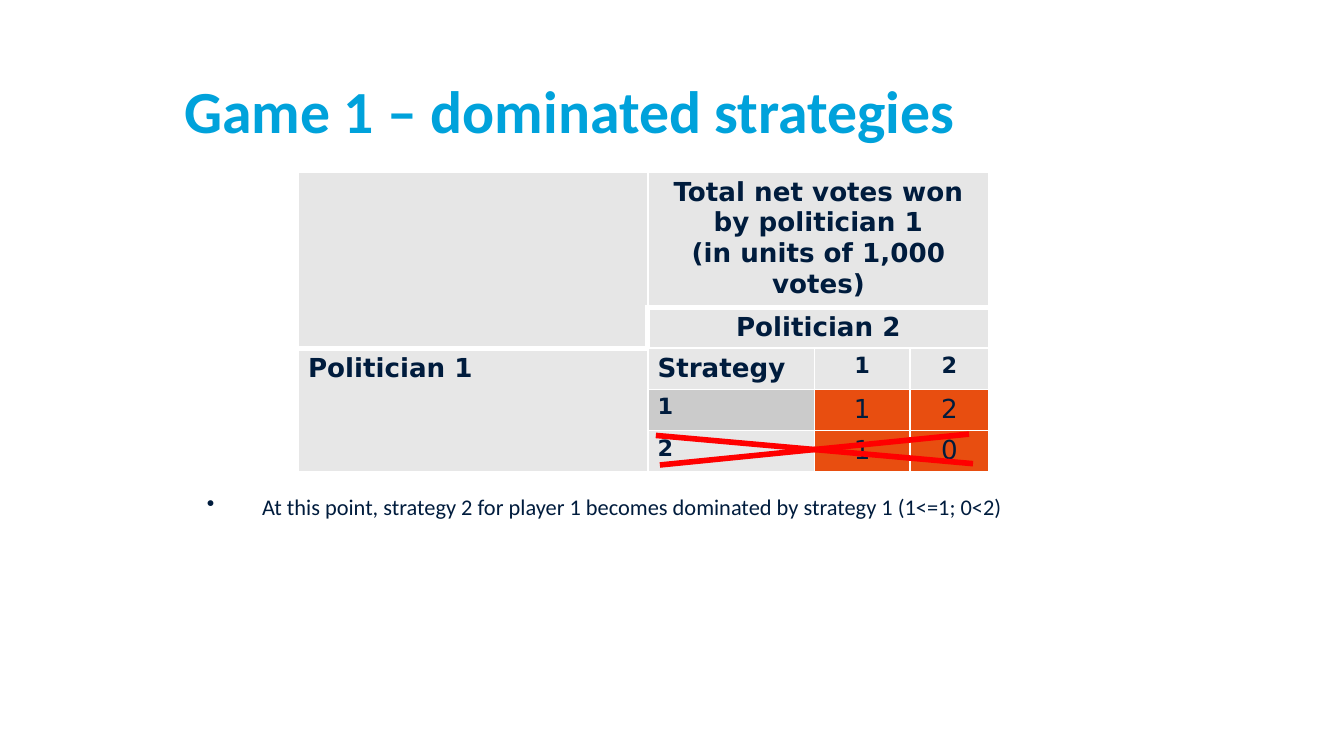
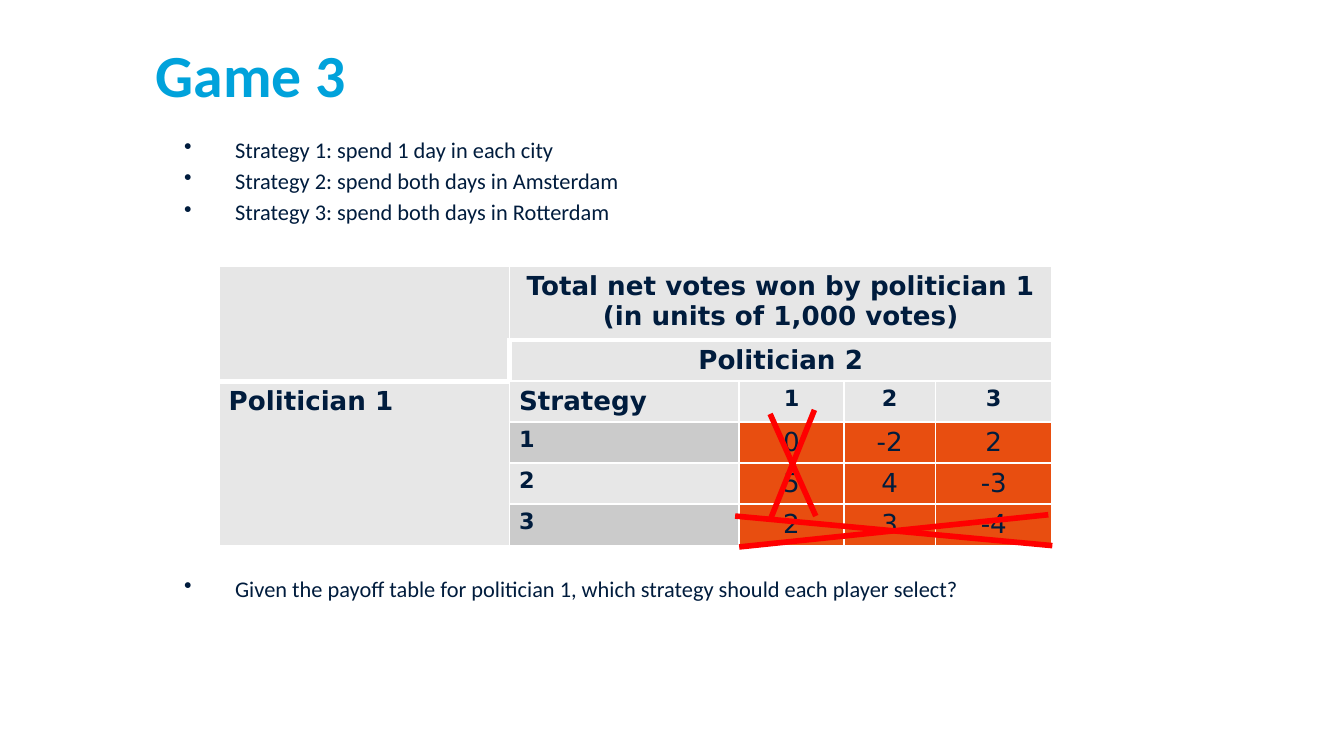
import pptx
import pptx.dml.color
import pptx.enum.shapes
import pptx.enum.text
import pptx.oxml
import pptx.oxml.ns
import pptx.util

PX = 9144  # EMU per px, 100 px to the inch
SLIDE_WIDTH = 1000
COLORS = {
    "title": "00A2DB", "text": "001C3D", "header": "E6E6E6", "label": "E7E7E7",
    "band": "CBCBCB", "payoff": "E84E10", "border": "FFFFFF", "cross": "FF0000",
}
BODY_FONT, TABLE_FONT = "Calibri", "DejaVu Sans"
TITLE_SIZE = (684, 62)
SIDE_INSET, END_INSET = 5.2, 2.6  # points
ROW_HEIGHT = 30
THIN, THICK = 1, 3  # points
VOTES_HEADING = ["Total net votes won by politician 1", "(in units of 1,000 votes)"]

# Content: a cross is a pair of strokes, each x1, y1, x2, y2
GAMES = [
    {
        "title": ("Game 1 – dominated strategies", 137, 55),
        "bullets": [
            (["At this point, strategy 2 for player 1 becomes dominated by "
              "strategy 1 (1<=1; 0<2)"], 154, 367, 41),
        ],
        "table_at": (222, 128),
        "columns": [260, 124, 71, 59],
        "heading_height": 97,
        "payoffs": [[1, 2], [1, 0]],
        "crosses": [[(491, 346, 721, 323), (488, 324, 724, 345)]],
    },
    {
        "title": ("Game 3", 116, 28),
        "bullets": [
            (["Strategy 1: spend 1 day in each city",
              "Strategy 2: spend both days in Amsterdam",
              "Strategy 3: spend both days in Rotterdam"], 137, 101, 38),
            (["Given the payoff table for politician 1, which strategy should "
              "each player select?"], 137, 428, 38),
        ],
        "table_at": (163, 198),
        "columns": [216, 171, 78, 68, 87],
        "heading_height": 55,
        "payoffs": [[0, -2, 2], [5, 4, -3], [2, 3, -4]],
        "crosses": [
            [(550, 407, 780, 383), (547, 384, 783, 406)],
            [(573, 387, 606, 305), (573, 308, 607, 384)],
        ],
    },
]


def px(*lengths):
    return [pptx.util.Emu(length * PX) for length in lengths]


def rgb(name):
    return pptx.dml.color.RGBColor.from_string(COLORS[name])


def element(tag, attributes="", content=""):
    namespace = pptx.oxml.ns.nsdecls("a")
    return pptx.oxml.parse_xml(
        f"<a:{tag} {namespace} {attributes}>{content}</a:{tag}>")


def write(frame, lines, size=12, font=BODY_FONT, color="text", bold=False,
          centered=False, indent=0, gap=0):
    """Fill a text frame; a positive indent gives bulleted paragraphs."""
    frame.word_wrap = True
    if not lines:  # keep an empty cell from stretching its row
        frame.paragraphs[0]._p.append(element("endParaRPr", f'sz="{size * 100}"'))
    for number, line in enumerate(lines):
        paragraph = frame.add_paragraph() if number else frame.paragraphs[0]
        if centered:
            paragraph.alignment = pptx.enum.text.PP_ALIGN.CENTER
        if number and gap:
            paragraph.space_before = pptx.util.Pt(gap)
        if indent:
            properties = paragraph._p.get_or_add_pPr()
            properties.set("marL", str(indent * PX))
            properties.set("indent", str(-indent * PX))
            properties.append(element("buChar", 'char="•"'))
        run = paragraph.add_run()
        run.text = line
        run.font.name = font
        run.font.size = pptx.util.Pt(size)
        run.font.bold = bold
        run.font.color.rgb = rgb(color)


def add_text(slide, lines, left, top, width, height, **text_format):
    frame = slide.shapes.add_textbox(*px(left, top, width, height)).text_frame
    frame.margin_left = frame.margin_right = frame.margin_top = frame.margin_bottom = 0
    write(frame, lines, **text_format)


def cell_content(row, column, payoffs):
    """Return lines, fill and text format of one table cell."""
    strategy = row - 2
    if row < 2:
        lines = [VOTES_HEADING, ["Politician 2"]][row] if column == 1 else []
        return lines, "header", {"size": 14, "bold": True, "centered": True}
    if column == 0:
        lines = ["Politician 1"] if row == 2 else []
        return lines, "label", {"size": 14, "bold": True}
    if row == 2 and column == 1:
        return ["Strategy"], "label", {"size": 14, "bold": True}
    if row == 2:
        return [str(column - 1)], "label", {"bold": True, "centered": True}
    if column == 1:
        return [str(strategy)], "band" if strategy % 2 else "label", {"bold": True}
    payoff = payoffs[strategy - 1][column - 2]
    return [str(payoff)], "payoff", {"size": 14, "centered": True}


def set_borders(cell, row, column):
    thick_sides = {
        "L": (row, column) == (1, 1),
        "R": False,
        "T": (row == 1 and column > 0) or (row, column) == (2, 0),
        "B": row == 0 or (row, column) == (1, 0),
    }
    paint = f'<a:solidFill><a:srgbClr val="{COLORS["border"]}"/></a:solidFill>'
    for position, (side, thick) in enumerate(thick_sides.items()):
        width = pptx.util.Pt(THICK if thick else THIN)
        cell._tc.get_or_add_tcPr().insert(
            position, element(f"ln{side}", f'w="{width}"', paint))


def add_payoff_table(slide, game):
    columns, payoffs = game["columns"], game["payoffs"]
    heights = [game["heading_height"]] + [ROW_HEIGHT] * (len(payoffs) + 2)
    table = slide.shapes.add_table(
        len(heights), len(columns),
        *px(*game["table_at"], sum(columns), sum(heights))).table
    table.first_row = table.horz_banding = False
    for column, width in zip(table.columns, px(*columns)):
        column.width = width
    for row, height in zip(table.rows, px(*heights)):
        row.height = height

    last_row, last_column = len(heights) - 1, len(columns) - 1
    for first, last in [((0, 0), (1, 0)), ((0, 1), (0, last_column)),
                        ((1, 1), (1, last_column)), ((2, 0), (last_row, 0))]:
        table.cell(*first).merge(table.cell(*last))

    for row in range(len(heights)):
        for column in range(len(columns)):
            cell = table.cell(row, column)
            lines, fill, text_format = cell_content(row, column, payoffs)
            cell.margin_left = cell.margin_right = pptx.util.Pt(SIDE_INSET)
            cell.margin_top = cell.margin_bottom = pptx.util.Pt(END_INSET)
            cell.fill.solid()
            cell.fill.fore_color.rgb = rgb(fill)
            set_borders(cell, row, column)
            write(cell.text_frame, lines, font=TABLE_FONT, **text_format)


def add_cross(slide, strokes):
    cross = slide.shapes.add_group_shape()
    for stroke in strokes:
        line = cross.shapes.add_connector(
            pptx.enum.shapes.MSO_CONNECTOR.STRAIGHT, *px(*stroke))
        line.line.color.rgb = rgb("cross")
        line.line.width = pptx.util.Pt(THICK)
        line._element.spPr.append(element("effectLst"))


def main():
    deck = pptx.Presentation()
    deck.slide_width = px(SLIDE_WIDTH)[0]
    deck.slide_height = deck.slide_width * 9 // 16
    for game in GAMES:
        slide = deck.slides.add_slide(deck.slide_layouts[6])
        title, left, top = game["title"]
        add_text(slide, [title], left, top, *TITLE_SIZE,
                 size=32, color="title", bold=True)
        for lines, left, top, indent in game["bullets"]:
            add_text(slide, lines, left, top, TITLE_SIZE[0], 23 * len(lines),
                     indent=indent, gap=2.4)
        add_payoff_table(slide, game)
        for strokes in game["crosses"]:
            add_cross(slide, strokes)
    deck.save("out.pptx")


if __name__ == "__main__":
    main()
